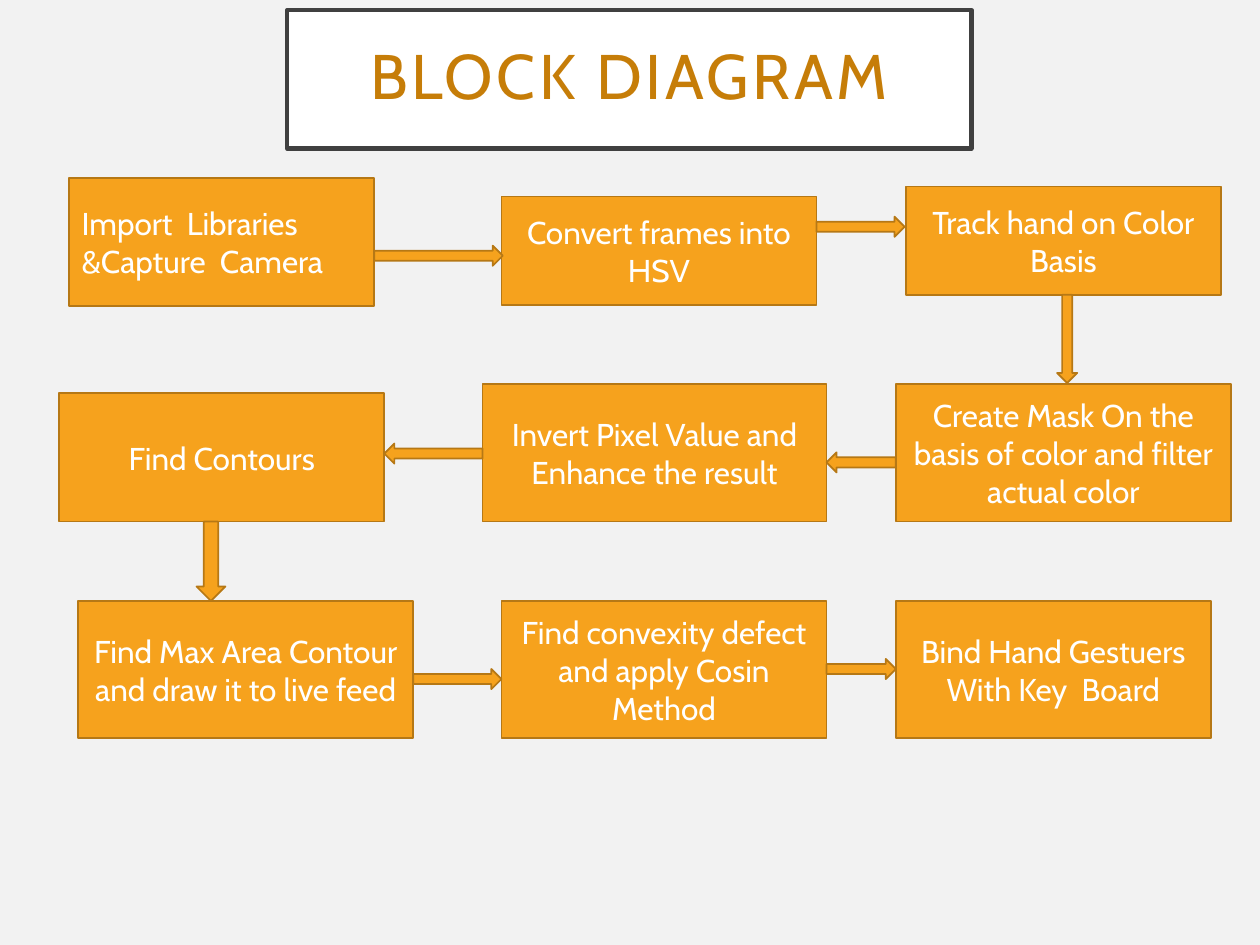
"""Block diagram of a hand gesture pipeline, three rows of steps joined by arrows."""
from pptx import Presentation
from pptx.dml.color import RGBColor
from pptx.enum import shapes, text
from pptx.util import Inches, Pt

ORANGE = RGBColor(0xF6, 0xA2, 0x1D)
BROWN = RGBColor(0xB6, 0x78, 0x15)
AMBER = RGBColor(0xC6, 0x7D, 0x08)
WHITE = RGBColor(0xFF, 0xFF, 0xFF)
DARK = RGBColor(0x40, 0x40, 0x40)
PALE = RGBColor(0xF2, 0xF2, 0xF2)
KIND = shapes.MSO_SHAPE
ALIGN = text.PP_ALIGN

deck = Presentation()
deck.slide_width, deck.slide_height = Inches(10), Inches(7.5)
slide = deck.slides.add_slide(deck.slide_layouts[6])
slide.background.fill.solid()
slide.background.fill.fore_color.rgb = PALE


def draw(kind, *place, fill=ORANGE, line=BROWN, width=1):
    shape = slide.shapes.add_shape(kind, *map(Inches, place))
    shape.shadow.inherit = False
    shape.fill.solid()
    shape.fill.fore_color.rgb = fill
    shape.line.color.rgb = line
    shape.line.width = Pt(width)
    return shape


def write(shape, words, size=18, color=WHITE, align=ALIGN.CENTER, inset=None, lead=None, track=None):
    frame = shape.text_frame
    frame.word_wrap = True
    frame.vertical_anchor = text.MSO_ANCHOR.MIDDLE
    if inset:
        frame.margin_left = frame.margin_right = Inches(inset)
        frame.margin_top = frame.margin_bottom = Inches(inset)
    frame.text = words
    for para in frame.paragraphs:
        para.alignment = align
        para.line_spacing = lead
        for run in para.runs:
            run.font.name = "Cabin"
            run.font.size = Pt(size)
            run.font.color.rgb = color
            if track:
                run.font._element.set("spc", str(track * 100))


steps = [
    (0.55, 1.41, 2.42, 1.02, "Import  Libraries\n&Capture  Camera", ALIGN.LEFT),
    (3.98, 1.56, 2.5, 0.86, "Convert frames into HSV", ALIGN.CENTER),
    (7.19, 1.48, 2.5, 0.86, "Track hand on Color Basis", ALIGN.CENTER),
    (7.11, 3.05, 2.66, 1.09, "Create Mask On the basis of color and filter actual color", ALIGN.CENTER),
    (3.83, 3.05, 2.73, 1.09, "Invert Pixel Value and Enhance the result", ALIGN.CENTER),
    (0.47, 3.12, 2.58, 1.02, "Find Contours", ALIGN.CENTER),
    (0.62, 4.77, 2.66, 1.09, "Find Max Area Contour and draw it to live feed", ALIGN.CENTER),
    (3.98, 4.77, 2.58, 1.09, "Find convexity defect and apply Cosin Method", ALIGN.CENTER),
    (7.11, 4.77, 2.5, 1.09, "Bind Hand Gestuers With Key  Board", ALIGN.CENTER),
]
for *place, words, align in steps:
    write(draw(KIND.RECTANGLE, *place), words, align=align)

arrows = [
    (KIND.RIGHT_ARROW, 2.97, 1.95, 1.02, 0.16),
    (KIND.RIGHT_ARROW, 6.48, 1.72, 0.7, 0.16),
    (KIND.DOWN_ARROW, 8.39, 2.34, 0.16, 0.7),
    (KIND.LEFT_ARROW, 6.56, 3.59, 0.55, 0.16),
    (KIND.LEFT_ARROW, 3.05, 3.52, 0.78, 0.16),
    (KIND.DOWN_ARROW, 1.56, 4.14, 0.23, 0.63),
    (KIND.RIGHT_ARROW, 3.28, 5.31, 0.7, 0.16),
    (KIND.RIGHT_ARROW, 6.56, 5.23, 0.55, 0.16),
]
for arrow in arrows:
    draw(*arrow)

title = draw(KIND.RECTANGLE, 2.28, 0.08, 5.43, 1.1, fill=WHITE, line=DARK, width=2.5)
write(title, "BLOCK DIAGRAM", size=36, color=AMBER, inset=0.2, lead=0.9, track=2)

deck.save("out.pptx")
